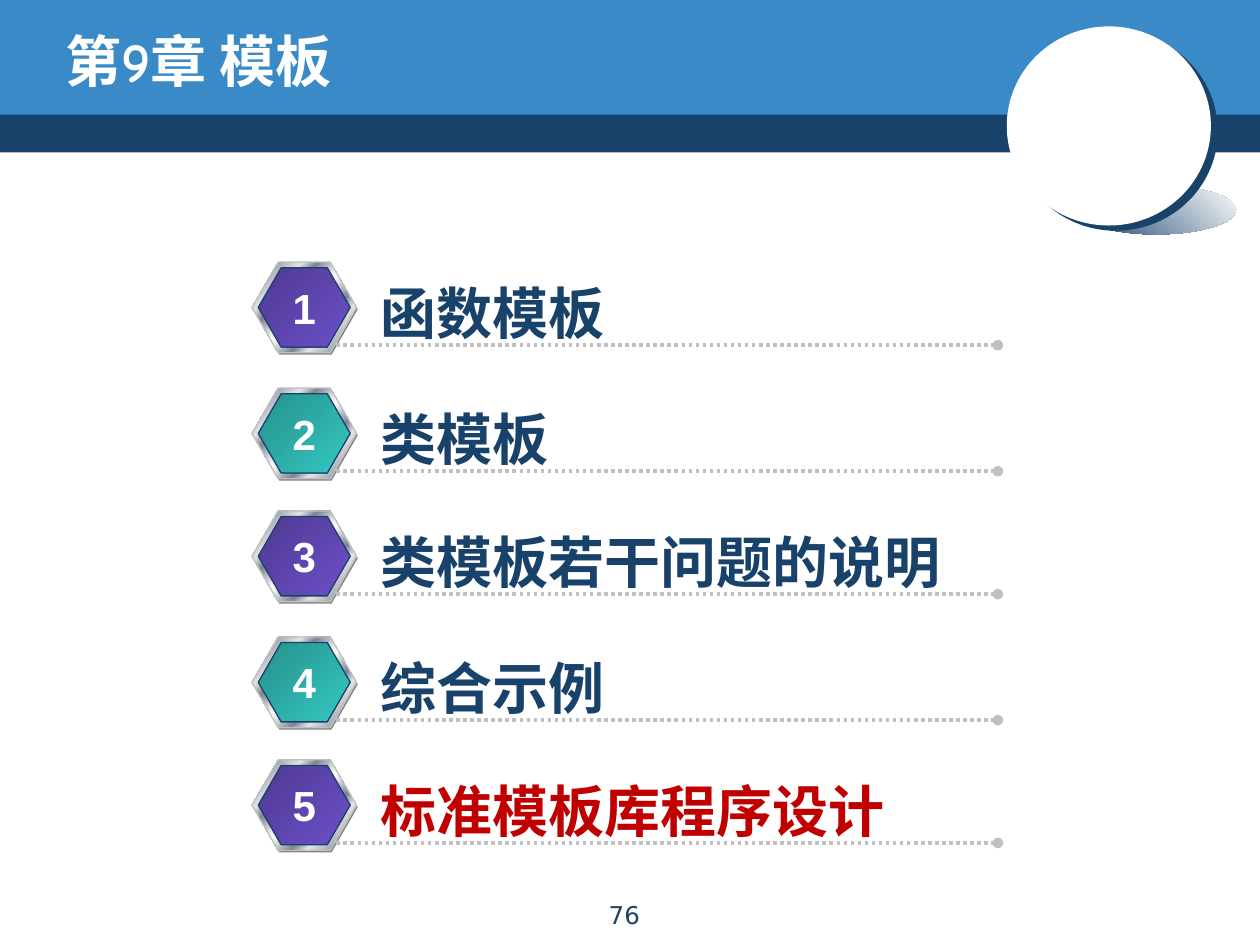
from lxml import etree
from pptx import Presentation
from pptx.dml.color import RGBColor
from pptx.enum.dml import MSO_LINE
from pptx.enum.shapes import MSO_CONNECTOR, MSO_SHAPE
from pptx.enum.text import MSO_ANCHOR, MSO_AUTO_SIZE, PP_ALIGN
from pptx.oxml.ns import qn
from pptx.util import Inches, Pt

RECT, OVAL, HEX = MSO_SHAPE.RECTANGLE, MSO_SHAPE.OVAL, MSO_SHAPE.HEXAGON
LEFT, MID = PP_ALIGN.LEFT, PP_ALIGN.CENTER
DOTS, LINE = MSO_LINE.ROUND_DOT, MSO_CONNECTOR.STRAIGHT
GROW, FIXED = MSO_AUTO_SIZE.SHAPE_TO_FIT_TEXT, MSO_AUTO_SIZE.NONE

NAVY = RGBColor(0x19, 0x42, 0x6B)
BLUE = RGBColor(0x39, 0x8A, 0xC7)
WHITE = RGBColor(0xFF, 0xFF, 0xFF)
GRAY = RGBColor(0x80, 0x80, 0x80)
SILVER = RGBColor(0xC0, 0xC0, 0xC0)
PALE = RGBColor(0xE6, 0xE6, 0xE6)
STEEL = RGBColor(0x7D, 0x84, 0x96)
RED = RGBColor(0xC0, 0x00, 0x00)
PURPLE = [(0, RGBColor(0x4E, 0x39, 0x90)), (100, RGBColor(0x6D, 0x50, 0xCA))]
TEAL = [(0, RGBColor(0x26, 0x90, 0x8B)), (100, RGBColor(0x35, 0xC9, 0xC2))]
CHROME = [(0, PALE), (7, STEEL), (26, PALE), (34, STEEL), (46, PALE), (50, WHITE),
          (54, PALE), (66, STEEL), (74, PALE), (93, STEEL), (100, PALE)]
FADE = [(0, NAVY), (100, WHITE)]

# The slide is a grid of 1000 columns by 750 rows.
W, H = Inches(10), Inches(7.5)
COL, ROW = W / 1000, H / 750

HEAD = dict(name="Comic Neue", size=Pt(32), bold=True)
ITEM = dict(name="Arial", size=Pt(32), bold=True)
MARK = dict(name="Arial", size=Pt(24), bold=True)
PAGE = dict(name="DejaVu Sans", size=Pt(14), bold=False)

TOPICS = ["函数模板", "类模板", "类模板若干问题的说明", "综合示例", "标准模板库程序设计"]
WIDTHS = [200, 155, 471, 200, 426]


def place(box, x, y, w, h):
    """Turn grid cells counted from the corner of a box into slide lengths."""
    return (round((box[0] + x) * COL), round((box[1] + y) * ROW),
            round(w * COL), round(h * ROW))


def sub(node, tag, **attrs):
    return etree.SubElement(node, qn(tag), {k: str(v) for k, v in attrs.items()})


def blend(shape, stops, angle):
    """Fill a shape with a linear gradient of many stops."""
    shape.fill.gradient()
    grad = shape._element.spPr.find(qn("a:gradFill"))
    for child in list(grad):
        grad.remove(child)
    row = sub(grad, "a:gsLst")
    for pos, color in stops:
        sub(sub(row, "a:gs", pos=pos * 1000), "a:srgbClr", val=color)
    sub(grad, "a:lin", ang=angle * 60000, scaled=0)


def draw(shapes, kind, at, fill, edge=None, angle=45):
    shape = shapes.add_shape(kind, *at)
    shape.shadow.inherit = False
    if isinstance(fill, list):
        blend(shape, fill, angle)
    else:
        shape.fill.solid()
        shape.fill.fore_color.rgb = fill
    if edge is None:
        shape.line.fill.background()
    else:
        shape.line.color.rgb = edge
        shape.line.width = Pt(0.75)
    if kind == HEX:
        shape.adjustments[0] = 0.289
    return shape


def write(frame, text, style, color, align=LEFT):
    para = frame.paragraphs[0]
    para.alignment = align
    run = para.add_run()
    run.text = text
    for key, value in style.items():
        setattr(run.font, key, value)
    run.font.color.rgb = color


def label(slide, at, text, style, color, align=LEFT, wrap=False):
    frame = slide.shapes.add_textbox(*at).text_frame
    frame.word_wrap = wrap
    frame.auto_size = FIXED if wrap else GROW
    write(frame, text, style, color, align)


def globe(slide, box):
    """Draw the white disc with its hard edge and cast shade."""
    shapes = slide.shapes.add_group_shape().shapes
    draw(shapes, OVAL, place(box, 55, 126, 127, 39), FADE, angle=315)
    disc = draw(shapes, OVAL, place(box, 0, 0, 162, 158), WHITE)
    cast = sub(disc._element.spPr.find(qn("a:effectLst")), "a:outerShdw",
               blurRad=0, dist=Pt(5), dir=37 * 60000, algn="ctr", rotWithShape=0)
    sub(cast, "a:srgbClr", val=NAVY)
    draw(shapes, OVAL, place(box, 55, 47, 57, 59), WHITE)


def header(slide, box, text):
    draw(slide.shapes, RECT, place(box, 0, 87, 1000, 34), NAVY)
    draw(slide.shapes, RECT, place(box, 0, 0, 1000, 91), BLUE)
    globe(slide, (box[0] + 799, box[1] + 21))
    title = slide.shapes.title
    slide.shapes._spTree.append(title._element)
    title.left, title.top, title.width, title.height = place(box, 42, 17, 808, 62)
    frame = title.text_frame
    frame.vertical_anchor = MSO_ANCHOR.MIDDLE
    frame.auto_size = FIXED
    write(frame, text, HEAD, WHITE)


def badge(slide, box, fill):
    shapes = slide.shapes.add_group_shape().shapes
    draw(shapes, HEX, place(box, 1, 1.5, 83, 72), GRAY)
    draw(shapes, HEX, place(box, 0, 0, 83, 72), CHROME, SILVER)
    draw(shapes, HEX, place(box, 5, 4.5, 73, 63), fill, NAVY)


def rule(slide, box):
    """Draw the dotted line that ends in a dot."""
    x, y, w, _ = place(box, 67, 66, 525, 0)
    line = slide.shapes.add_connector(LINE, x, y, x + w, y)
    line.line.color.rgb = SILVER
    line.line.width = Pt(2)
    line.line.dash_style = DOTS
    sub(line.line._get_or_add_ln(), "a:tailEnd", type="oval")
    sub(line._element.spPr, "a:effectLst")


def topic(slide, box, num, text, width, fill, color):
    badge(slide, box, fill)
    rule(slide, box)
    label(slide, place(box, 92, 8.5, width, 64), text, ITEM, color)
    label(slide, place(box, 22, 11, 39, 50), str(num), MARK, WHITE, MID)


def agenda(slide, box):
    """Stack the topics, with a wider step inside each pair than between pairs."""
    last = len(TOPICS) - 1
    for i, (text, width) in enumerate(zip(TOPICS, WIDTHS)):
        pair, odd = divmod(i, 2)
        spot = (box[0], box[1] + pair * 197.5 + odd * 100)
        topic(slide, spot, i + 1, text, width,
              TEAL if odd else PURPLE, RED if i == last else NAVY)


def main():
    prs = Presentation()
    prs.slide_width, prs.slide_height = W, H
    slide = prs.slides.add_slide(prs.slide_layouts[5])
    header(slide, (0, 0), "第9章 模板")
    agenda(slide, (200, 208))
    label(slide, place((405, 709), 0, 0, 181, 32), "76", PAGE, NAVY, MID, wrap=True)
    prs.save("out.pptx")


if __name__ == "__main__":
    main()
